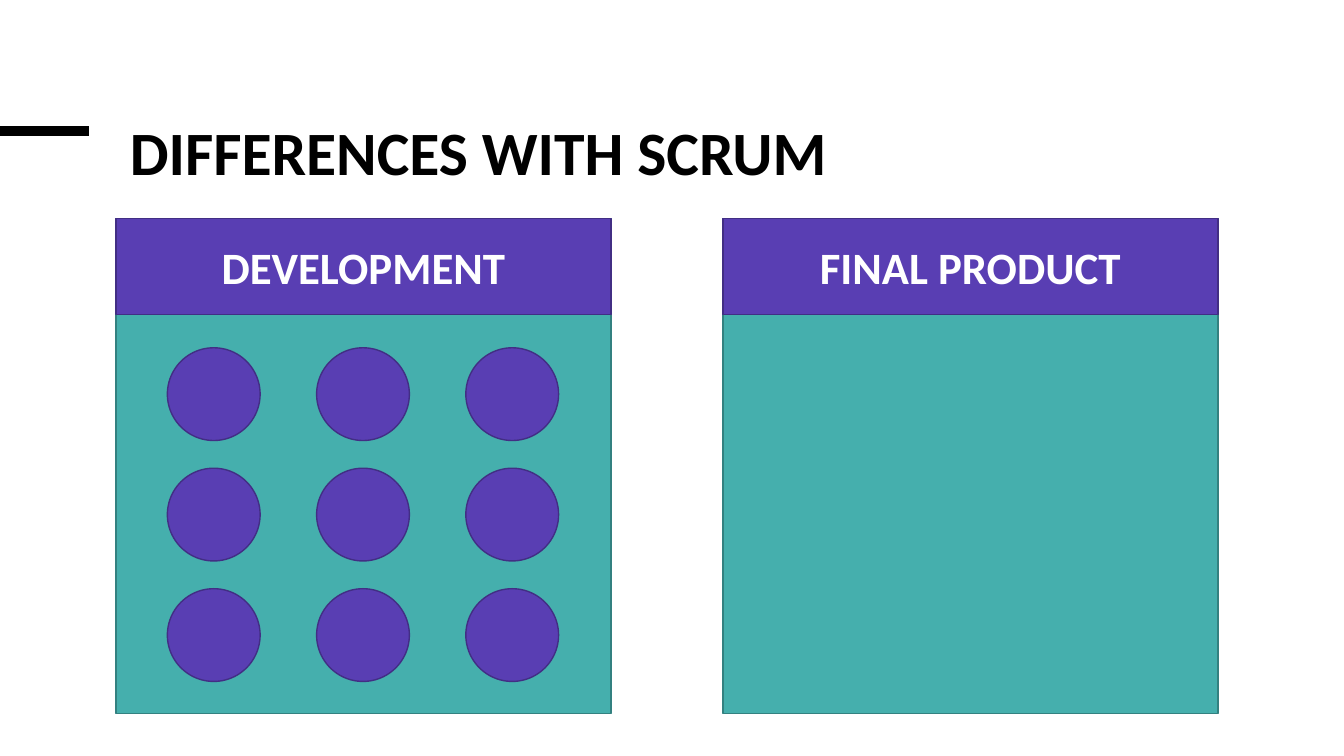
from pptx import Presentation
from pptx.dml.color import RGBColor
from pptx.enum.shapes import MSO_CONNECTOR, MSO_SHAPE
from pptx.enum.text import MSO_ANCHOR, PP_ALIGN
from pptx.oxml.ns import qn
from pptx.util import Inches, Pt
from lxml.etree import SubElement

BLACK = RGBColor(0x00, 0x00, 0x00)
WHITE = RGBColor(0xFF, 0xFF, 0xFF)
TEAL = RGBColor(0x45, 0xAF, 0xAD)
DARK_TEAL = RGBColor(0x33, 0x81, 0x80)
PURPLE = RGBColor(0x59, 0x3E, 0xB3)
DARK_PURPLE = RGBColor(0x42, 0x2E, 0x84)

# Panel columns and the grid of circles, in inches
PANELS = [(1.15, "DEVELOPMENT"), (7.17, "FINAL PRODUCT")]
PANEL_TOP, PANEL_SIZE, HEADER_HEIGHT = 2.17, 4.91, 0.95
CIRCLE_LEFT, CIRCLE_TOP, CIRCLE_SIZE = 1.66, 3.45, 0.92
COLUMN_STEP, ROW_STEP = 1.48, 1.195

presentation = Presentation()
presentation.slide_width = Inches(13.33)
presentation.slide_height = Inches(7.5)
slide = presentation.slides.add_slide(presentation.slide_layouts[6])


def add_filled(kind, left, top, width, height, fill, outline):
    shape = slide.shapes.add_shape(
        kind, Inches(left), Inches(top), Inches(width), Inches(height))
    shape.shadow.inherit = False
    shape.fill.solid()
    shape.fill.fore_color.rgb = fill
    shape.line.color.rgb = outline
    shape.line.width = Pt(1)
    return shape


def write(shape, text, size, color):
    shape.text_frame.word_wrap = True
    paragraph = shape.text_frame.paragraphs[0]
    paragraph.text = text
    font = paragraph.runs[0].font
    font.name, font.size, font.bold = "Calibri", Pt(size), True
    font.color.rgb = color
    return paragraph


# Accent line at the left edge
accent = slide.shapes.add_connector(
    MSO_CONNECTOR.STRAIGHT, 0, Inches(1.3), Inches(0.88), Inches(1.3))
accent.line.color.rgb = BLACK
accent.line.width = Pt(6.75)
SubElement(accent._element.spPr, qn("a:effectLst"))

# Title
title = slide.shapes.add_textbox(
    Inches(1.19), Inches(1.19), Inches(10.85), Inches(1.42))
write(title, "DIFFERENCES WITH SCRUM", 44, BLACK).line_spacing = 0.85

# Panels with their headers
for left, heading in PANELS:
    add_filled(MSO_SHAPE.RECTANGLE, left, PANEL_TOP, PANEL_SIZE, PANEL_SIZE,
               TEAL, DARK_TEAL)
    header = add_filled(MSO_SHAPE.RECTANGLE, left, PANEL_TOP, PANEL_SIZE,
                        HEADER_HEIGHT, PURPLE, DARK_PURPLE)
    header.text_frame.vertical_anchor = MSO_ANCHOR.MIDDLE
    write(header, heading, 32, WHITE).alignment = PP_ALIGN.CENTER

# Three by three circles in the development panel
for column in range(3):
    for row in range(3):
        add_filled(MSO_SHAPE.OVAL, CIRCLE_LEFT + column * COLUMN_STEP,
                   CIRCLE_TOP + row * ROW_STEP, CIRCLE_SIZE, CIRCLE_SIZE,
                   PURPLE, DARK_PURPLE)

presentation.save("out.pptx")
